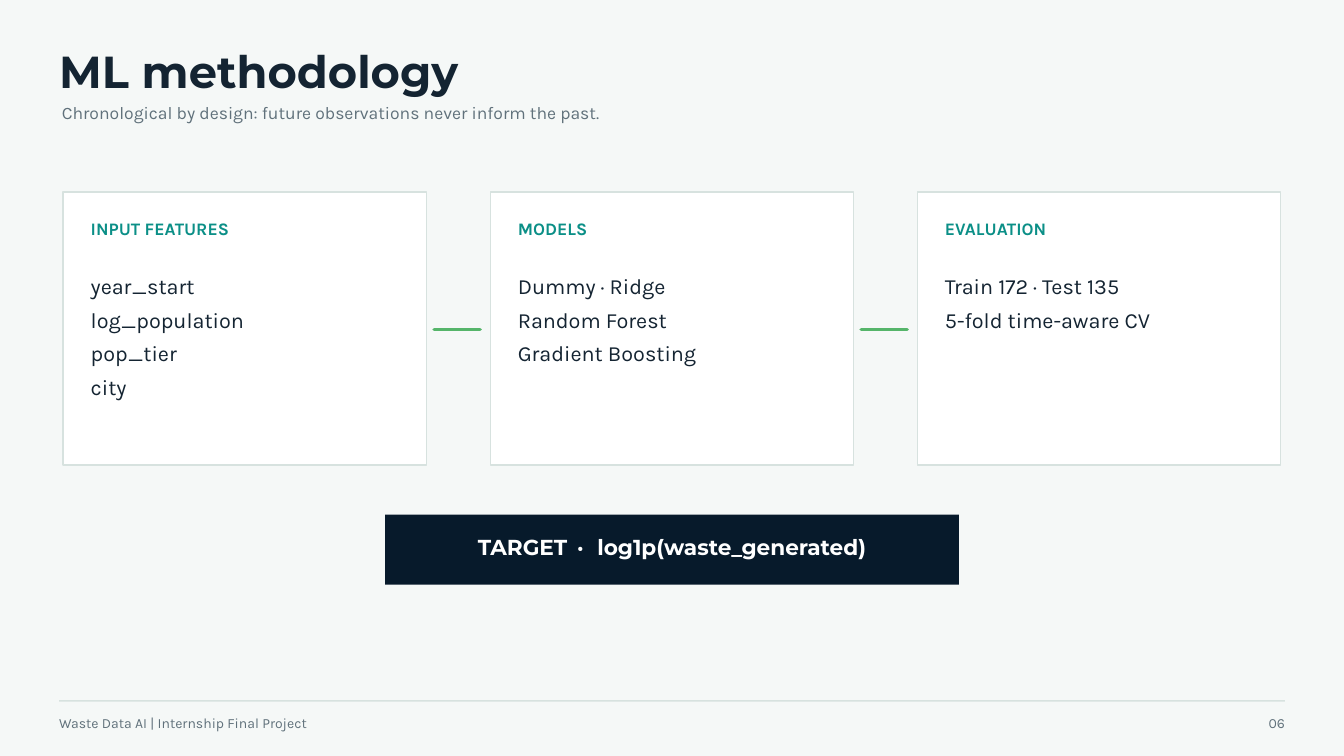
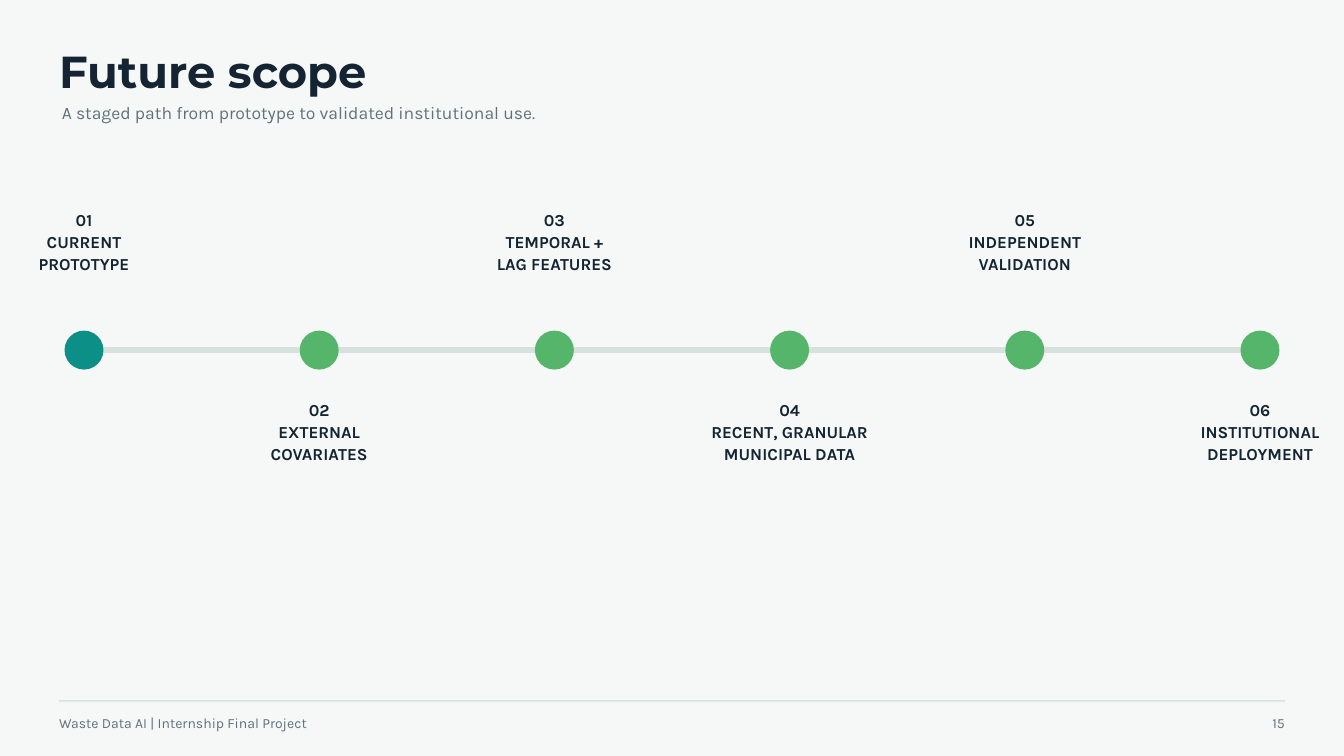
import pptx
import pptx.dml.color
import pptx.enum.shapes
import pptx.enum.text
import pptx.oxml.ns
import pptx.util
from lxml import etree

Inches = pptx.util.Inches
Pt = pptx.util.Pt
SHAPE = pptx.enum.shapes.MSO_SHAPE
ALIGN = pptx.enum.text.PP_ALIGN

# Shared look
PAPER, WHITE, NAVY, INK = "F5F8F7", "FFFFFF", "071A2B", "142432"
MUTED, RULE, TEAL, GREEN = "60717B", "D7E2DF", "0B8F87", "55B56A"
BODY_FONT, HEADING_FONT = "Karla", "Montserrat"
SLIDE_WIDTH, SLIDE_HEIGHT = 20, 11.25
MARGIN = 0.88
FOOTER = "Waste Data AI | Internship Final Project"

# Content
METHOD = {
    "title": "ML methodology",
    "subtitle": "Chronological by design: future observations never inform the past.",
    "number": "06",
}
CARDS = [
    ("INPUT FEATURES", ["year_start", "log_population", "pop_tier", "city"]),
    ("MODELS", ["Dummy · Ridge", "Random Forest", "Gradient Boosting"]),
    ("EVALUATION", ["Train 172 · Test 135", "5-fold time-aware CV"]),
]
TARGET = ["TARGET", " · ", "log1p(waste_generated)"]

FUTURE = {
    "title": "Future scope",
    "subtitle": "A staged path from prototype to validated institutional use.",
    "number": "15",
}
STAGES = [
    ["CURRENT", "PROTOTYPE"],
    ["EXTERNAL", "COVARIATES"],
    ["TEMPORAL +", "LAG FEATURES"],
    ["RECENT, GRANULAR", "MUNICIPAL DATA"],
    ["INDEPENDENT", "VALIDATION"],
    ["INSTITUTIONAL", "DEPLOYMENT"],
]


def rgb(value):
    return pptx.dml.color.RGBColor.from_string(value)


def write(box, lines, size, color, leading, font=BODY_FONT, bold=False,
          align=ALIGN.LEFT):
    """Fill a box with one paragraph per line; a line may be a list of runs."""
    frame = box.text_frame
    frame.word_wrap = True
    frame.auto_size = pptx.enum.text.MSO_AUTO_SIZE.NONE
    frame.vertical_anchor = pptx.enum.text.MSO_ANCHOR.TOP
    frame.margin_left = frame.margin_right = 0
    frame.margin_top = frame.margin_bottom = 0
    for index, line in enumerate(lines):
        paragraph = frame.add_paragraph() if index else frame.paragraphs[0]
        for part in [line] if isinstance(line, str) else line:
            paragraph.add_run().text = part
        paragraph.alignment = align
        paragraph.line_spacing = Pt(leading)
        paragraph.font.name = font
        paragraph.font.size = Pt(size)
        paragraph.font.bold = bold
        paragraph.font.color.rgb = rgb(color)
    return frame


def add_text(slide, left, top, width, height, lines, *style, **options):
    box = slide.shapes.add_textbox(
        Inches(left), Inches(top), Inches(width), Inches(height))
    return write(box, lines, *style, **options)


def add_block(slide, kind, left, top, width, height, fill, outline=None):
    block = slide.shapes.add_shape(
        kind, Inches(left), Inches(top), Inches(width), Inches(height))
    block.shadow.inherit = False
    block.fill.solid()
    block.fill.fore_color.rgb = rgb(fill)
    if outline:
        block.line.color.rgb = rgb(outline)
        block.line.width = Pt(1.5)
    else:
        block.line.fill.background()


def add_line(slide, start, end, y, color, width):
    line = slide.shapes.add_connector(
        pptx.enum.shapes.MSO_CONNECTOR.STRAIGHT,
        Inches(start), Inches(y), Inches(end), Inches(y))
    line.line.color.rgb = rgb(color)
    line.line.width = Pt(width)
    line.line._get_or_add_ln().set("cap", "rnd")
    etree.SubElement(line._element.spPr, pptx.oxml.ns.qn("a:effectLst"))


def add_page(prs, page):
    """Start a slide with its title, subtitle and footer."""
    slide = prs.slides.add_slide(prs.slide_layouts[5])
    title = slide.shapes.title
    title.left, title.top = Inches(MARGIN), Inches(0.75)
    title.width, title.height = Inches(15.62), Inches(0.71)
    write(title, [page["title"]], 48, INK, 50.4, HEADING_FONT, True)
    add_text(slide, 0.92, 1.48, 15.1, 0.34, [page["subtitle"]], 18.8, MUTED, 25.3)

    add_block(slide, SHAPE.RECTANGLE, MARGIN, 10.42,
              SLIDE_WIDTH - 2 * MARGIN, 0.02, RULE)
    add_text(slide, MARGIN, 10.59, 6.46, 0.29, [FOOTER], 15, MUTED, 21)
    number_width = 0.79
    add_text(slide, SLIDE_WIDTH - MARGIN - number_width, 10.59, number_width, 0.29,
             [page["number"]], 15, MUTED, 21, align=ALIGN.RIGHT)
    return slide


def build_method(prs):
    slide = add_page(prs, METHOD)

    # Cards, joined by short dashes in the gaps
    edge, top, width, height = 0.94, 2.86, 5.41, 4.06
    gap = (SLIDE_WIDTH - 2 * edge - len(CARDS) * width) / (len(CARDS) - 1)
    for index, (heading, items) in enumerate(CARDS):
        left = edge + index * (width + gap)
        add_block(slide, SHAPE.RECTANGLE, left, top, width, height, WHITE, RULE)
        add_text(slide, left + 0.41, 3.2, 4.38, 0.34, [heading],
                 18.8, TEAL, 26.2, bold=True)
        add_text(slide, left + 0.41, 3.95, 4.48, 0.5 * len(items), items,
                 23.2, INK, 36)
        if index:
            add_line(slide, left - gap + 0.11, left - 0.15, 4.9, GREEN, 3.75)

    # Target band, with wider spacing around the dot
    band_width, label_width = 8.54, 8.12
    add_block(slide, SHAPE.RECTANGLE, (SLIDE_WIDTH - band_width) / 2, 7.66,
              band_width, 1.04, NAVY)
    target = add_text(slide, (SLIDE_WIDTH - label_width) / 2, 7.88, label_width, 0.42,
                      [TARGET], 23.2, WHITE, 32.5, HEADING_FONT, True, ALIGN.CENTER)
    dot = target.paragraphs[0].runs[1]
    dot.font._element.set("spc", "400")


def build_future(prs):
    slide = add_page(prs, FUTURE)

    # Timeline, with labels alternating above and below
    start, end, axis = 1.25, 18.75, 5.21
    diameter, label_width = 0.58, 2.6
    pitch = (end - start) / (len(STAGES) - 1)
    add_line(slide, start, end, axis, RULE, 6)
    for index, stage in enumerate(STAGES):
        center = start + index * pitch
        add_block(slide, SHAPE.OVAL, center - diameter / 2, axis - diameter / 2,
                  diameter, diameter, GREEN if index else TEAL)
        add_text(slide, center - label_width / 2, 5.92 if index % 2 else 3.1,
                 label_width, 0.96, [f"{index + 1:02d}"] + stage,
                 18, INK, 23.4, bold=True, align=ALIGN.CENTER)


def main():
    prs = pptx.Presentation()
    prs.slide_width, prs.slide_height = Inches(SLIDE_WIDTH), Inches(SLIDE_HEIGHT)
    background = prs.slide_master.background.fill
    background.solid()
    background.fore_color.rgb = rgb(PAPER)
    build_method(prs)
    build_future(prs)
    prs.save("out.pptx")


if __name__ == "__main__":
    main()
